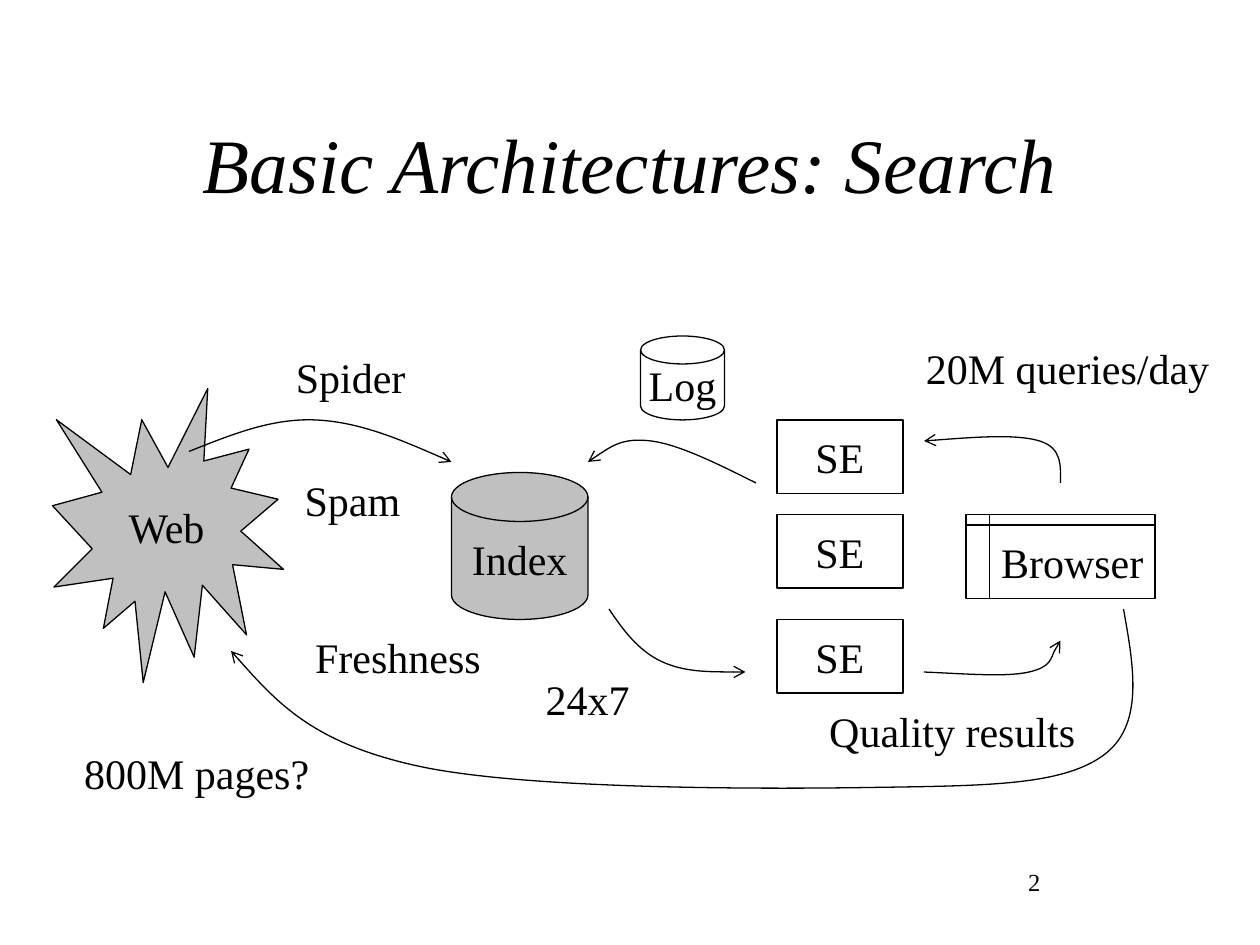
import itertools
from dataclasses import dataclass

import pptx
import pptx.dml.color
import pptx.enum.shapes
import pptx.enum.text
import pptx.oxml.ns
import pptx.util
from lxml import etree

Pt = pptx.util.Pt
qn = pptx.oxml.ns.qn
Preset = pptx.enum.shapes.MSO_SHAPE
Align = pptx.enum.text.PP_ALIGN
Anchor = pptx.enum.text.MSO_ANCHOR
AutoSize = pptx.enum.text.MSO_AUTO_SIZE

COLORS = {"ink": "000000", "gray": "C0C0C0"}
FONT = "Times New Roman"


@dataclass
class Node:
    text: str
    preset: Preset
    bounds: tuple[float, float, float, float]
    fill: str | None = None


@dataclass
class Label:
    text: str
    bounds: tuple[float, float, float, float]
    size: float = 24
    italic: bool = False
    align: Align = Align.LEFT
    anchor: Anchor = Anchor.TOP
    wrap: bool = False


NODES = [
    Node("Web", Preset.EXPLOSION1, (30, 222, 132, 168), "gray"),
    Node("Log", Preset.FLOWCHART_MAGNETIC_DISK, (366, 192, 48, 48)),
    Node("Index", Preset.FLOWCHART_MAGNETIC_DISK, (258, 270, 78, 84), "gray"),
    *(Node("SE", Preset.RECTANGLE, (444, top, 72, 42)) for top in (240, 294, 354)),
    Node("Browser", Preset.FLOWCHART_INTERNAL_STORAGE, (552, 294, 108, 48)),
]

LABELS = [
    Label("Basic Architectures: Search", (54, 48, 612, 90), 44, True,
          Align.CENTER, Anchor.MIDDLE, True),
    Label("Spider", (162, 197.5, 114, 36), wrap=True),
    Label("Spam", (167, 267.5, 69, 36)),
    Label("Freshness", (173, 357.5, 109, 36)),
    Label("Quality results", (466.75, 399.5, 155, 36)),
    Label("20M queries/day", (522, 192, 177, 36)),
    Label("800M pages?", (41, 423.5, 143, 36)),
    Label("24x7", (304.75, 381.5, 62.5, 36)),
    Label("2", (516, 492, 150, 36), 14, align=Align.CENTER, wrap=True),
]

# Each curve is a start point, then two control points and an end point per segment.
CURVES = [
    # Index to search engines
    [(348, 348), (356, 360), (365, 372), (378, 378),
     (391, 384), (408, 384), (426, 384)],
    # Web to index
    [(108, 258), (132, 248.5), (155, 239), (180, 240),
     (205, 241), (232, 252.5), (258, 264)],
    # Search engines to index
    [(432, 276), (410, 265), (388, 254), (372, 252),
     (356, 250), (346, 257), (336, 264)],
    # Search engines to browser
    [(528, 384), (551.5, 385), (575, 387), (588, 384),
     (601, 381), (603, 369), (606, 366)],
    # Browser to search engines
    [(606, 276), (606, 266), (607, 256), (594, 252),
     (581, 248), (554, 250), (528, 252)],
    # Browser to web
    [(642, 348), (648, 381.5), (654, 415), (630, 432),
     (606, 449), (563, 449), (498, 450),
     (433, 451), (301, 451), (240, 438),
     (179, 425), (155.5, 398.5), (132, 372)],
]


def color(name: str) -> pptx.dml.color.RGBColor:
    return pptx.dml.color.RGBColor.from_string(COLORS[name])


def style_shape(shape, fill: str | None = None) -> None:
    shape.shadow.inherit = False
    if fill:
        shape.fill.solid()
        shape.fill.fore_color.rgb = color(fill)
    else:
        shape.fill.background()
    shape.line.color.rgb = color("ink")
    shape.line.width = Pt(0.75)


def write_text(shape, text: str, size: float, align: Align, anchor: Anchor,
               wrap: bool = False, italic: bool = False) -> None:
    frame = shape.text_frame
    frame.word_wrap = wrap
    frame.vertical_anchor = anchor
    para = frame.paragraphs[0]
    para.text = text
    para.alignment = align
    para.font.name = FONT
    para.font.size = Pt(size)
    para.font.italic = italic
    para.font.color.rgb = color("ink")


def draw_node(slide, node: Node) -> None:
    shape = slide.shapes.add_shape(node.preset, *map(Pt, node.bounds))
    style_shape(shape, node.fill)
    write_text(shape, node.text, 24, Align.CENTER, Anchor.MIDDLE)


def draw_label(slide, label: Label) -> None:
    box = slide.shapes.add_textbox(*map(Pt, label.bounds))
    write_text(box, label.text, label.size, label.align, label.anchor,
               label.wrap, label.italic)
    if not label.wrap:
        box.text_frame.auto_size = AutoSize.SHAPE_TO_FIT_TEXT


def draw_curve(slide, points: list[tuple[float, float]]) -> None:
    """Build a freeform on the points, then join each three lines into a Bézier segment."""
    start, *rest = [(Pt(x), Pt(y)) for x, y in points]
    builder = slide.shapes.build_freeform(*start)
    builder.add_line_segments(rest, close=False)
    shape = builder.convert_to_shape()
    style_shape(shape)

    outline = next(shape.element.iter(qn("a:path")))
    lines = iter(outline.findall(qn("a:lnTo")))
    for triple in itertools.zip_longest(lines, lines, lines):
        segment = etree.SubElement(outline, qn("a:cubicBezTo"))
        for line in triple:
            segment.append(line[0])
            outline.remove(line)

    stroke = next(shape.element.iter(qn("a:ln")))
    etree.SubElement(stroke, qn("a:tailEnd"), type="arrow")


def main() -> None:
    deck = pptx.Presentation()
    deck.slide_width, deck.slide_height = Pt(720), Pt(540)
    slide = deck.slides.add_slide(deck.slide_layouts[6])
    for node in NODES:
        draw_node(slide, node)
    for label in LABELS:
        draw_label(slide, label)
    for points in CURVES:
        draw_curve(slide, points)
    deck.save("out.pptx")


if __name__ == "__main__":
    main()
